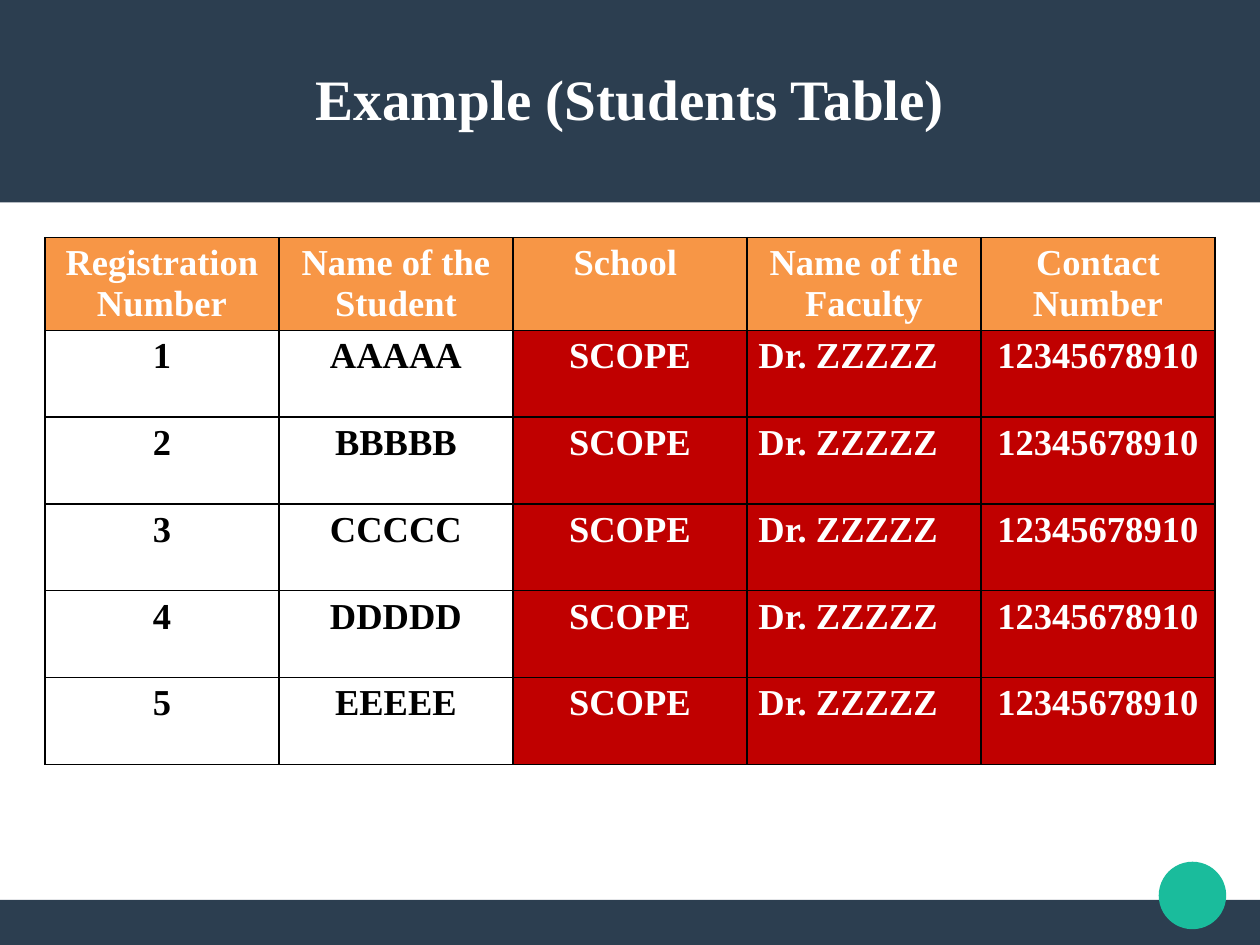
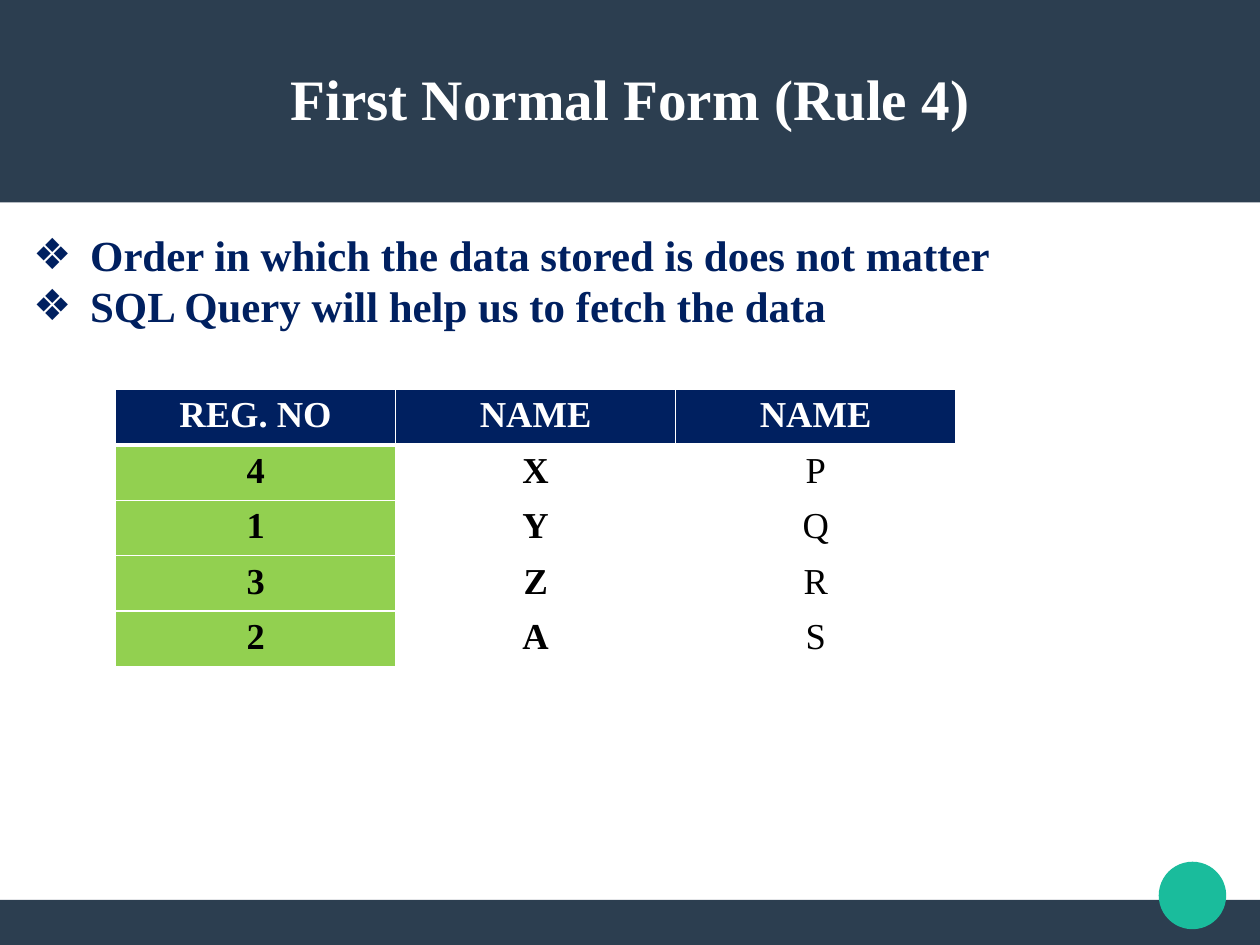
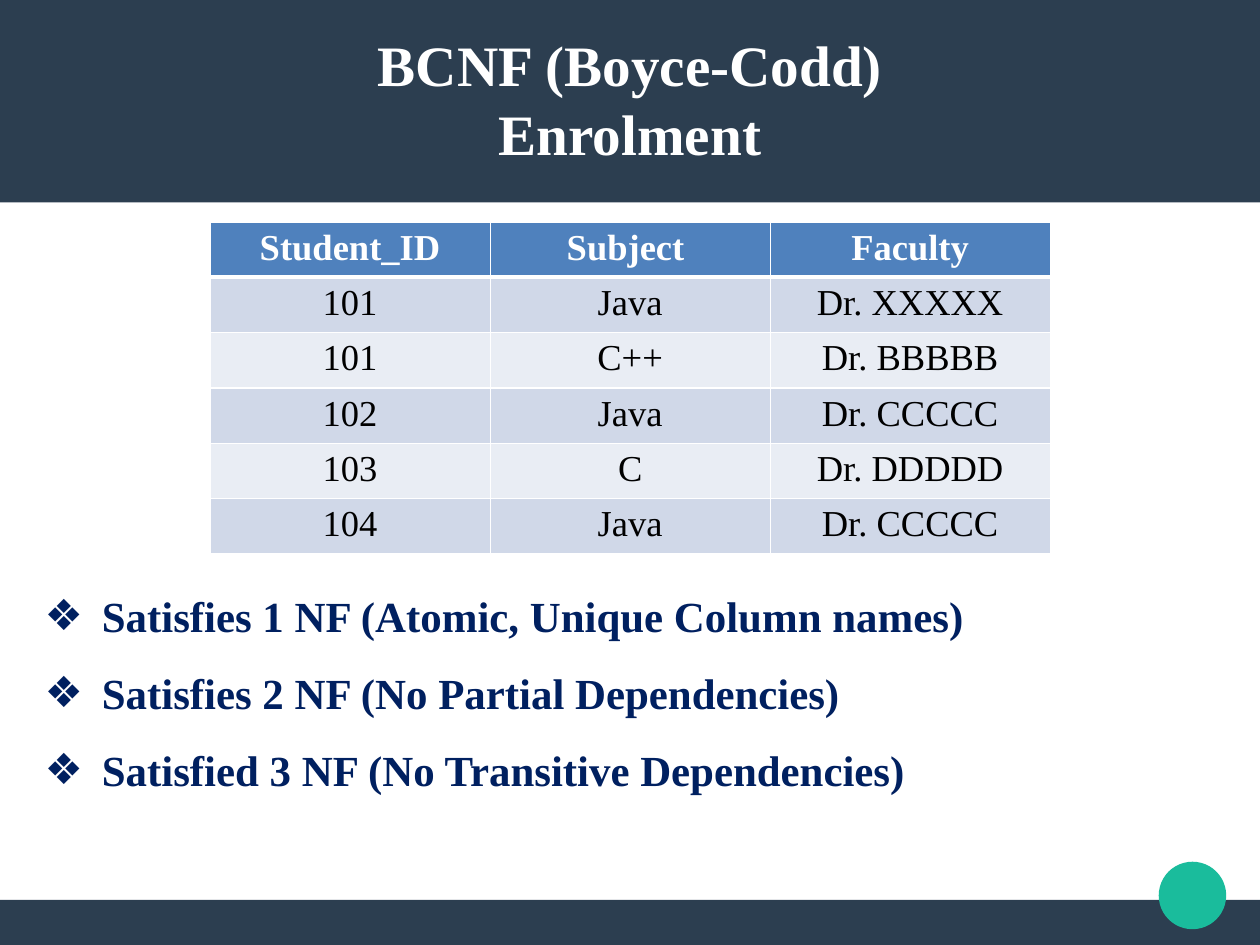
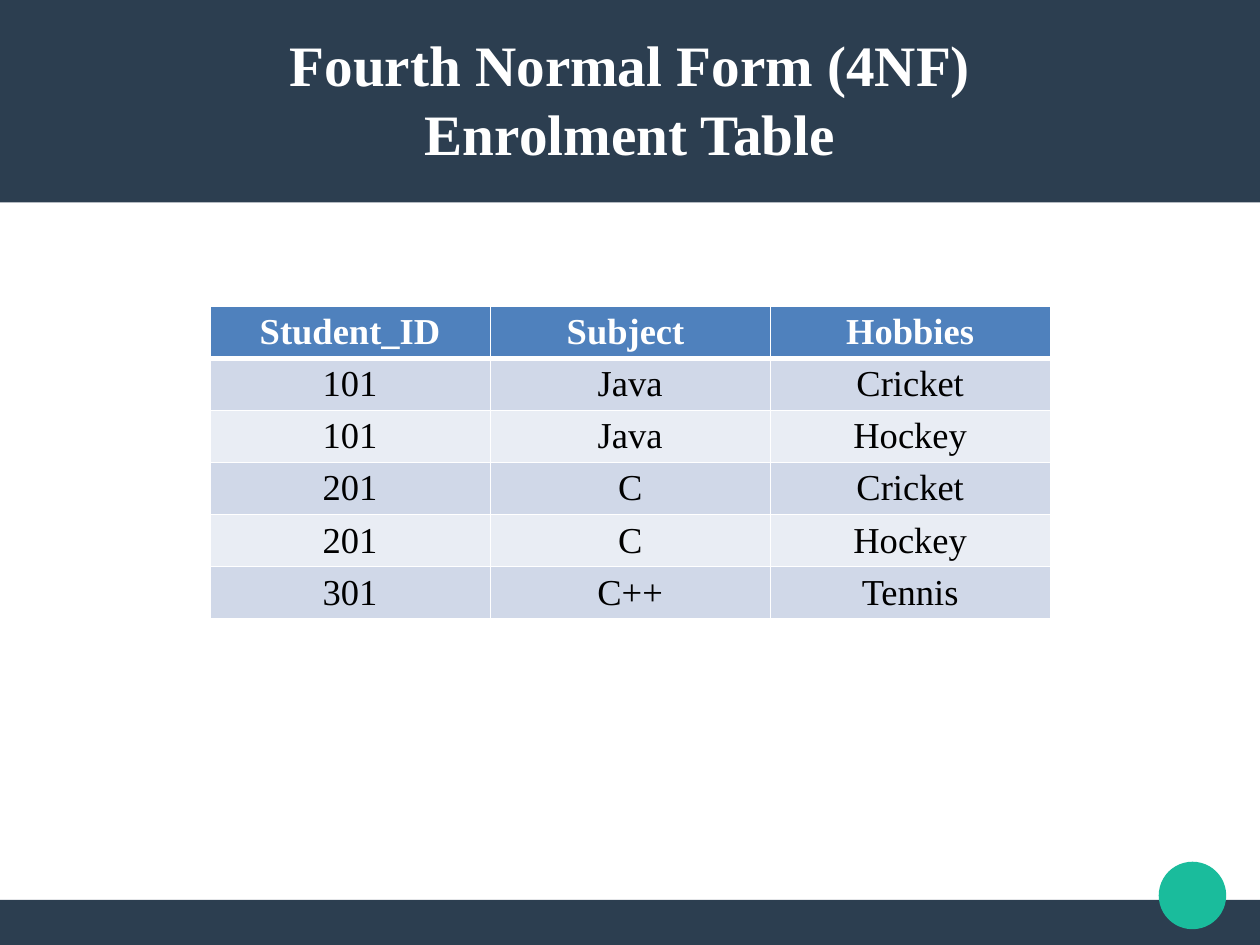
import pptx
import pptx.util
import pptx.dml.color
import pptx.enum.shapes
import pptx.enum.text
import pptx.oxml
import pptx.oxml.ns

ALIGN = pptx.enum.text.PP_ALIGN
SHAPE = pptx.enum.shapes.MSO_SHAPE
NAVY, SLATE, TEAL, BLUE = "002060", "2C3E50", "1ABC9C", "4F81BD"
WHITE, BLACK, RED, GREEN, ORANGE = "FFFFFF", "000000", "C00000", "92D050", "F79646"


def rgb(value):
    return pptx.dml.color.RGBColor.from_string(value)


class Deck:
    """Style and current slide; lengths are columns and rows of a 28 x 21 grid."""
    FONT = "Times New Roman"
    COLS, ROWS = 28, 21
    LAYOUTS = {"list": 1, "title": 5}

    def __init__(self):
        self.prs = pptx.Presentation()
        self.prs.slide_width = pptx.util.Mm(280)
        self.prs.slide_height = pptx.util.Mm(210)
        self.slide = None

    def x(self, cols):
        return round(self.prs.slide_width * cols / self.COLS)

    def y(self, rows):
        return round(self.prs.slide_height * rows / self.ROWS)

    def box(self, left, top, width, height):
        return self.x(left), self.y(top), self.x(width), self.y(height)

    def place(self, sp, *box):
        sp.left, sp.top, sp.width, sp.height = self.box(*box)

    def format(self, p, size, color, bold=True, align=ALIGN.CENTER):
        p.alignment = align
        for r in p.runs:
            r.font.name, r.font.size = self.FONT, pptx.util.Pt(size)
            r.font.bold, r.font.color.rgb = bold, rgb(color)

    def master_shape(self, kind, color, *box):
        """Draw on the current slide, then move the shape to the master."""
        sp = self.slide.shapes.add_shape(kind, *self.box(*box))
        sp.shadow.inherit = False
        sp.fill.solid()
        sp.fill.fore_color.rgb = rgb(color)
        sp.line.fill.background()
        tree = self.prs.slide_master.shapes.element
        tree.insert(len(tree), sp.element)

    def bands(self):
        self.master_shape(SHAPE.RECTANGLE, SLATE, 0, 20, 28, 1)
        self.master_shape(SHAPE.RECTANGLE, SLATE, 0, 0, 28, 4.5)
        self.master_shape(SHAPE.OVAL, TEAL, 25.75, 19.15, 1.5, 1.5)

    def new_slide(self, title, layout="title"):
        first = self.slide is None
        layouts = self.prs.slide_layouts
        self.slide = self.prs.slides.add_slide(layouts[self.LAYOUTS[layout]])
        if first:
            self.bands()
        sp = self.slide.shapes.title
        self.place(sp, 1, 0.84, 26, 2.67)
        tf = sp.text_frame
        tf.text = title
        tf.auto_size = pptx.enum.text.MSO_AUTO_SIZE.NONE
        tf.vertical_anchor = pptx.enum.text.MSO_ANCHOR.MIDDLE
        tf.margin_left = tf.margin_right = tf.margin_top = tf.margin_bottom = 0
        for p in tf.paragraphs:
            self.format(p, 36, WHITE)

    def bullets(self, lines, *box, spacing=1.0):
        sp = self.slide.placeholders[1]
        self.place(sp, *box)
        tf = sp.text_frame
        tf.text = "\n".join(lines)
        tf.auto_size = pptx.enum.text.MSO_AUTO_SIZE.NONE
        indent = pptx.util.Inches(0.5)
        for p in tf.paragraphs:
            self.format(p, 27, NAVY, align=ALIGN.JUSTIFY)
            p.line_spacing, p.space_before = spacing, pptx.util.Pt(0)
            pPr = p._p.get_or_add_pPr()
            pPr.set("marL", str(indent))
            pPr.set("indent", str(-indent))
            pPr.append(pptx.oxml.parse_xml(
                f'<a:buChar {pptx.oxml.ns.nsdecls("a")} char="❖"/>'))

    def border(self, cell, color, bottom):
        tcPr = cell._tc.get_or_add_tcPr()
        for i, side in enumerate("LRTB"):
            width = pptx.util.Pt(bottom if side == "B" else 1)
            tcPr.insert(i, pptx.oxml.parse_xml(
                f'<a:ln{side} {pptx.oxml.ns.nsdecls("a")} w="{width}"><a:solidFill>'
                f'<a:srgbClr val="{color}"/></a:solidFill></a:ln{side}>'))

    def table(self, rows, left, top, width, row_height, head, body,
              line=WHITE, rule=3):
        """body holds one list of column styles per band: fill, colour, bold, align."""
        n, m = len(rows), len(rows[0])
        frame = self.slide.shapes.add_table(
            n, m, *self.box(left, top, width, row_height * n))
        tbl = frame.table
        tbl.first_row = tbl.horz_banding = False
        for i, row in enumerate(rows):
            for j, text in enumerate(row):
                fill, *style = body[(i - 1) % len(body)][j] if i else (head, WHITE)
                cell = tbl.cell(i, j)
                cell.text = text
                self.format(cell.text_frame.paragraphs[0], 23, *style)
                if fill:
                    cell.fill.solid()
                    cell.fill.fore_color.rgb = rgb(fill)
                else:
                    cell.fill.background()
                # Only the header has the heavy rule below it
                self.border(cell, line, 1 if i else rule)


def main():
    deck = Deck()
    banded = [[(fill, BLACK, False)] * 3 for fill in ("D0D8E8", "E9EDF4")]

    # Students table
    deck.new_slide("Example (Students Table)")
    students = [[str(i), letter * 5, "SCOPE", "Dr. ZZZZZ", "12345678910"]
                for i, letter in enumerate("ABCDE", 1)]
    plain, marked = (None, BLACK), (RED, WHITE)
    deck.table([["Registration Number", "Name of the Student", "School ",
                 "Name of the Faculty", "Contact Number"]] + students,
               1, 5.28, 26, 1.93, ORANGE,
               [[plain, plain, marked, (RED, WHITE, True, ALIGN.LEFT), marked]],
               line=BLACK, rule=1)

    # First normal form
    deck.new_slide("First Normal Form (Rule 4)", "list")
    deck.bullets(["Order in which the data stored is does not matter",
                  "SQL Query will help us to fetch the data"],
                 0.48, 4.95, 26.5, 2.57)
    deck.table([["REG. NO", "NAME", "NAME"], "4XP", "1YQ", "3ZR", "2AS"],
               2.57, 8.66, 18.67, 1.23, NAVY,
               [[(GREEN, BLACK), (None, BLACK), (None, BLACK, False)]])

    # Boyce-Codd normal form
    deck.new_slide("BCNF (Boyce-Codd)\nEnrolment", "list")
    deck.bullets(["Satisfies 1 NF (Atomic, Unique Column names)",
                  "Satisfies 2 NF (No Partial Dependencies)",
                  "Satisfied 3 NF (No Transitive Dependencies)"],
                 0.74, 12.4, 26.5, 5.23, spacing=1.5)
    deck.table([["Student_ID", "Subject ", "Faculty"],
                ["101", "Java", "Dr. XXXXX"],
                ["101", "C++", "Dr. BBBBB"],
                ["102", "Java", "Dr. CCCCC"],
                ["103", "C", "Dr. DDDDD"],
                ["104", "Java", "Dr. CCCCC"]],
               4.67, 4.93, 18.67, 1.23, BLUE, banded)

    # Fourth normal form
    deck.new_slide("Fourth Normal Form (4NF)\nEnrolment Table")
    deck.table([["Student_ID", "Subject ", "Hobbies"],
                ["101", "Java", "Cricket"],
                ["101", "Java", "Hockey"],
                ["201", "C", "Cricket"],
                ["201", "C", "Hockey"],
                ["301", "C++", "Tennis"]],
               4.67, 6.81, 18.67, 1.04, BLUE, banded)

    deck.prs.save("out.pptx")


if __name__ == "__main__":
    main()
